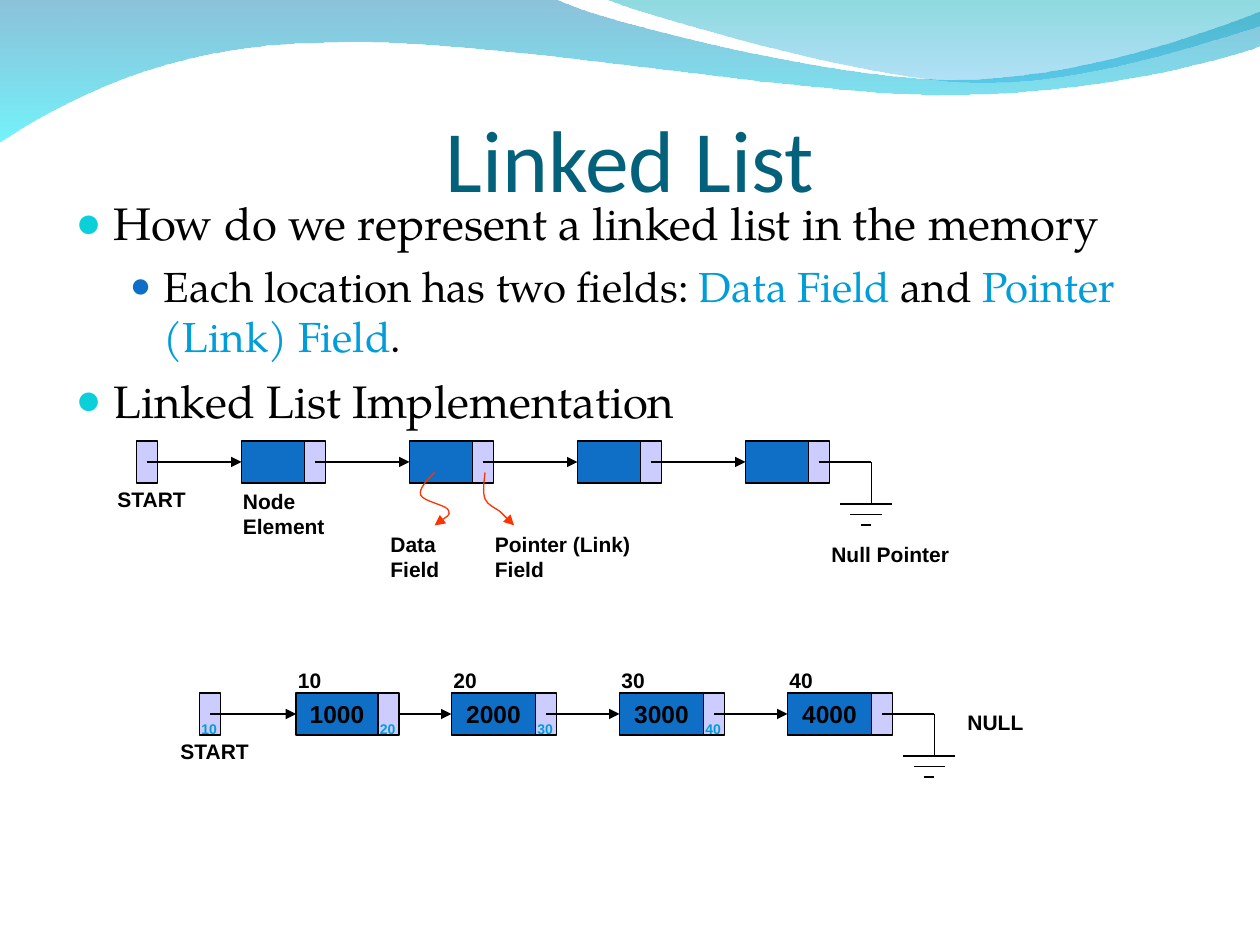
from dataclasses import dataclass

from lxml.etree import SubElement
from pptx import Presentation
from pptx.dml.color import RGBColor
from pptx.enum.shapes import MSO_CONNECTOR as Connector, MSO_SHAPE as Preset
from pptx.enum.text import MSO_ANCHOR as Anchor, MSO_AUTO_SIZE as AutoSize, PP_ALIGN as Align
from pptx.oxml.ns import qn
from pptx.util import Inches, Pt

BLACK, BLUE, LILAC, SKY, RED = "000000", "0F6FC6", "CCCCFF", "009DD9", "FF3300"
UNIT = 1 / 12
BOX_HEIGHT, POINTER_WIDTH, PITCH = 4 * UNIT, 2 * UNIT, 16 * UNIT

LABEL = {"size": Pt(12), "name": "Arial", "bold": True}
VALUE = {**LABEL, "size": Pt(14)}
LINK = {**LABEL, "size": Pt(8)}
TITLE = {"size": Pt(50), "name": "Calibri"}
LEVELS = [
    {"size": 26, "before": 6.5, "margin": 0.3, "hang": 0.3, "bullet": "0BD0D9", "percent": 95},
    {"size": 24, "before": 6, "margin": 0.7, "hang": 0.27, "bullet": BLUE, "percent": 85},
]
BODY = [
    (0, [("How do we represent a linked list in the memory", BLACK)]),
    (1, [("Each location has two fields: ", BLACK), ("Data Field", SKY), (" and ", BLACK),
         ("Pointer (Link) Field", SKY), (".", BLACK)]),
    (0, [("Linked List Implementation", BLACK)]),
]
WAVES = [
    ((0, -0.01), [
        [(4.4, -0.01)],
        [(4.76, 0.17), (6.64, 0.63), (7.58, 0.63)],
        [(8.53, 0.63), (9.58, 0.26), (10, 0.09)],
        [(10.01, 0.36)],
        [(9.83, 0.44), (8.7, 0.76), (7.46, 0.75)],
        [(6.22, 0.75), (3.82, 0.28), (2.57, 0.34)],
        [(1.29, 0.35), (0.46, 0.83), (-0.01, 1.13)],
    ], [("0079AF", 45), ("00EBF8", 55)]),
    ((4.79, -0.01), [
        [(5.09, 0.11), (6.82, 0.62), (7.69, 0.65)],
        [(8.56, 0.69), (9.61, 0.32), (10, 0.21)],
        [(10, 0)],
    ], [("00ADB6", 45), ("009BE5", 30)]),
]
FIELD_CURVES = [
    ((3.45, 3.75), [
        [(3.39, 3.81), (3.32, 3.88), (3.34, 3.93)],
        [(3.36, 3.98), (3.55, 4.01), (3.56, 4.05)],
        [(3.58, 4.09), (3.47, 4.15), (3.45, 4.17)],
    ]),
    ((3.85, 3.75), [
        [(3.84, 3.83), (3.83, 3.91), (3.85, 3.96)],
        [(3.87, 4.01), (3.93, 4.03), (3.97, 4.06)],
        [(4.01, 4.1), (4.06, 4.15), (4.08, 4.17)],
    ]),
]
GROUND = [(0, 0, 5, 0), (2, 4, 7, 4), (3, 5, 6, 5), (4, 6, 5, 6), (5, 0, 5, 4)]


@dataclass
class Node:
    """One list node: data box, contents, and where its arrow leaves."""
    left: float
    width: float = 0.5
    value: str = ""
    address: str = ""
    link: str = ""
    from_edge: bool = False


def rgb(color):
    """Turn a hex string into a colour."""
    return RGBColor.from_string(color)


def set_format(target, values):
    """Set each named value on the target."""
    for name, value in values.items():
        setattr(target, name, value)


def add_run(paragraph, text, font, color):
    """Add a formatted run."""
    run = paragraph.add_run()
    run.text = text
    set_format(run.font, font)
    run.font.color.rgb = rgb(color)


def style_line(shape, color=BLACK, arrow=False):
    """Give a shape a thin line, with an arrowhead at its end if wanted."""
    shape.line.width = Pt(0.75)
    shape.line.color.rgb = rgb(color)
    if arrow:
        SubElement(shape.line._get_or_add_ln(), qn("a:tailEnd"), type="triangle")


def add_label(slide, text, left, top, width, height=0.3, font=LABEL, color=BLACK, wrap=True):
    """Add a small text label."""
    shape = slide.shapes.add_textbox(*map(Inches, (left, top, width, height)))
    set_format(shape.text_frame, {"word_wrap": wrap, "auto_size": AutoSize.SHAPE_TO_FIT_TEXT})
    add_run(shape.text_frame.paragraphs[0], text, font, color)


def add_box(slide, left, top, width, color, text=""):
    """Add an outlined box with optional centred text."""
    shape = slide.shapes.add_shape(Preset.RECTANGLE, *map(Inches, (left, top, width, BOX_HEIGHT)))
    shape.shadow.inherit = False
    shape.fill.solid()
    shape.fill.fore_color.rgb = rgb(color)
    style_line(shape)
    if text:
        shape.text_frame.vertical_anchor = Anchor.MIDDLE
        paragraph = shape.text_frame.paragraphs[0]
        paragraph.alignment = Align.CENTER
        add_run(paragraph, text, VALUE, BLACK)
    return shape


def add_line(shapes, start_x, start_y, end_x, end_y, arrow=False):
    """Add a straight line."""
    ends = map(Inches, (start_x, start_y, end_x, end_y))
    connector = shapes.add_connector(Connector.STRAIGHT, *ends)
    style_line(connector, arrow=arrow)
    SubElement(connector._element.spPr, qn("a:effectLst"))
    return connector


def add_curve(slide, start, segments, close):
    """Add a freeform whose three-point segments are cubic curves."""
    builder = slide.shapes.build_freeform(*map(Inches, start))
    points = [tuple(map(Inches, point)) for segment in segments for point in segment]
    builder.add_line_segments(points, close=close)
    shape = builder.convert_to_shape()
    shape.shadow.inherit = False
    steps = iter(list(shape._element.spPr.iter(qn("a:lnTo"))))
    for segment in segments:
        first, *others = [next(steps) for _ in segment]
        if others:
            first.tag = qn("a:cubicBezTo")
        for other in others:
            first.append(other[0])
            other.getparent().remove(other)
    return shape


def add_wave(slide, start, segments, stops):
    """Add a translucent gradient wave behind the title."""
    shape = add_curve(slide, start, segments, True)
    shape.line.fill.background()
    shape.fill.gradient()
    shape.fill.gradient_angle = 270
    for stop, (color, _) in zip(shape.fill.gradient_stops, stops):
        stop.color.rgb = rgb(color)
    for element, (_, opacity) in zip(shape._element.spPr.iter(qn("a:srgbClr")), stops):
        SubElement(element, qn("a:alpha"), val=str(opacity * 1000))
    slide.shapes.title._element.addprevious(shape._element)


def add_field_curve(slide, start, segments):
    """Add a curved red arrow from a field to its label."""
    shape = add_curve(slide, start, segments, False)
    shape.fill.background()
    style_line(shape, RED, arrow=True)


def place(shape, left, top, width, height):
    """Move and size a placeholder."""
    set_format(shape, dict(zip(("left", "top", "width", "height"),
                               map(Inches, (left, top, width, height)))))


def fill_title(shape, text):
    """Place and write the title."""
    place(shape, 0.5, 0.77, 9, 0.9)
    set_format(shape.text_frame, {"vertical_anchor": Anchor.BOTTOM, "auto_size": AutoSize.NONE,
                                  "margin_left": 0, "margin_right": 0, "margin_bottom": 0})
    paragraph = shape.text_frame.paragraphs[0]
    paragraph.alignment = Align.CENTER
    add_run(paragraph, text, TITLE, "04617B")


def fill_body(shape):
    """Place and write the bulleted list."""
    place(shape, 0.5, 1.5, 9, 5.42)
    frame = shape.text_frame
    frame.auto_size = AutoSize.NONE
    for index, (level, runs) in enumerate(BODY):
        paragraph = frame.add_paragraph() if index else frame.paragraphs[0]
        style = LEVELS[level]
        set_format(paragraph, {"level": level, "space_before": Pt(style["before"])})
        properties = paragraph._p.get_or_add_pPr()
        properties.set("marL", str(Inches(style["margin"])))
        properties.set("indent", str(-Inches(style["hang"])))
        SubElement(SubElement(properties, qn("a:buClr")), qn("a:srgbClr"), val=style["bullet"])
        SubElement(properties, qn("a:buSzPct"), val=str(style["percent"] * 1000))
        SubElement(properties, qn("a:buChar"), char="●")
        for text, color in runs:
            add_run(paragraph, text, {"size": Pt(style["size"]), "name": "TeX Gyre Pagella"}, color)


def add_pointer(slide, left, top, link):
    """Add a pointer box with the address it holds."""
    pointer = add_box(slide, left, top, POINTER_WIDTH, LILAC)
    if link:
        add_label(slide, link, left - UNIT, top + 2 * UNIT, 0.33, 0.24, LINK, SKY)
    return pointer


def add_linked_list(slide, top, start_left, nodes, start_link=""):
    """Draw a start pointer, its chain of nodes and the closing ground symbol."""
    middle = top + BOX_HEIGHT / 2
    pointer_left, from_edge = start_left, False
    pointer = add_pointer(slide, start_left, top, start_link)
    add_label(slide, "START", start_left - 0.25, top + 0.31, 0.75, wrap=False)
    for node in nodes:
        data = add_box(slide, node.left, top, node.width, BLUE, node.value)
        arrow = add_line(slide.shapes, pointer_left + UNIT, middle, node.left, middle, True)
        arrow.end_connect(data, 1)
        if from_edge:
            arrow.begin_connect(pointer, 3)
        pointer_left, from_edge = node.left + node.width, node.from_edge
        pointer = add_pointer(slide, pointer_left, top, node.link)
        if node.address:
            add_label(slide, node.address, node.left - UNIT, top - 0.25, 0.45)
    ground = slide.shapes.add_group_shape()
    x = pointer_left + UNIT
    for x1, y1, x2, y2 in GROUND:
        add_line(ground.shapes, x + x1 * UNIT, middle + y1 * UNIT,
                 x + x2 * UNIT, middle + y2 * UNIT)


def main():
    """Build and save the slide."""
    presentation = Presentation()
    set_format(presentation, {"slide_width": Inches(10), "slide_height": Inches(7.5)})
    slide = presentation.slides.add_slide(presentation.slide_layouts[1])
    for wave in WAVES:
        add_wave(slide, *wave)
    fill_title(slide.shapes.title, "Linked List")
    fill_body(slide.placeholders[1])

    add_linked_list(slide, 3.5, 13 * UNIT, [Node(23 * UNIT + PITCH * i) for i in range(4)])
    for curve in FIELD_CURVES:
        add_field_curve(slide, *curve)
    add_label(slide, "Node Element", 1.83, 3.83, 1.25, 0.5)
    add_label(slide, "Data Field", 3, 4.17, 0.92, 0.5)
    add_label(slide, "Pointer (Link) Field", 3.83, 4.17, 1.5, 0.5)
    add_label(slide, "Null Pointer", 6.5, 4.25, 1.17)

    contents = [("2000", "20", "30"), ("3000", "30", "40"), ("4000", "40")]
    later_nodes = [Node(43 * UNIT + PITCH * i, 8 * UNIT, *texts)
                   for i, texts in enumerate(contents)]
    first_node = Node(2.35, 0.65, "1000", "10", "20", from_edge=True)
    add_linked_list(slide, 5.5, 19 * UNIT, [first_node, *later_nodes], start_link="10")
    add_label(slide, "NULL", 7.58, 5.58, 0.67)
    presentation.save("out.pptx")


if __name__ == "__main__":
    main()
